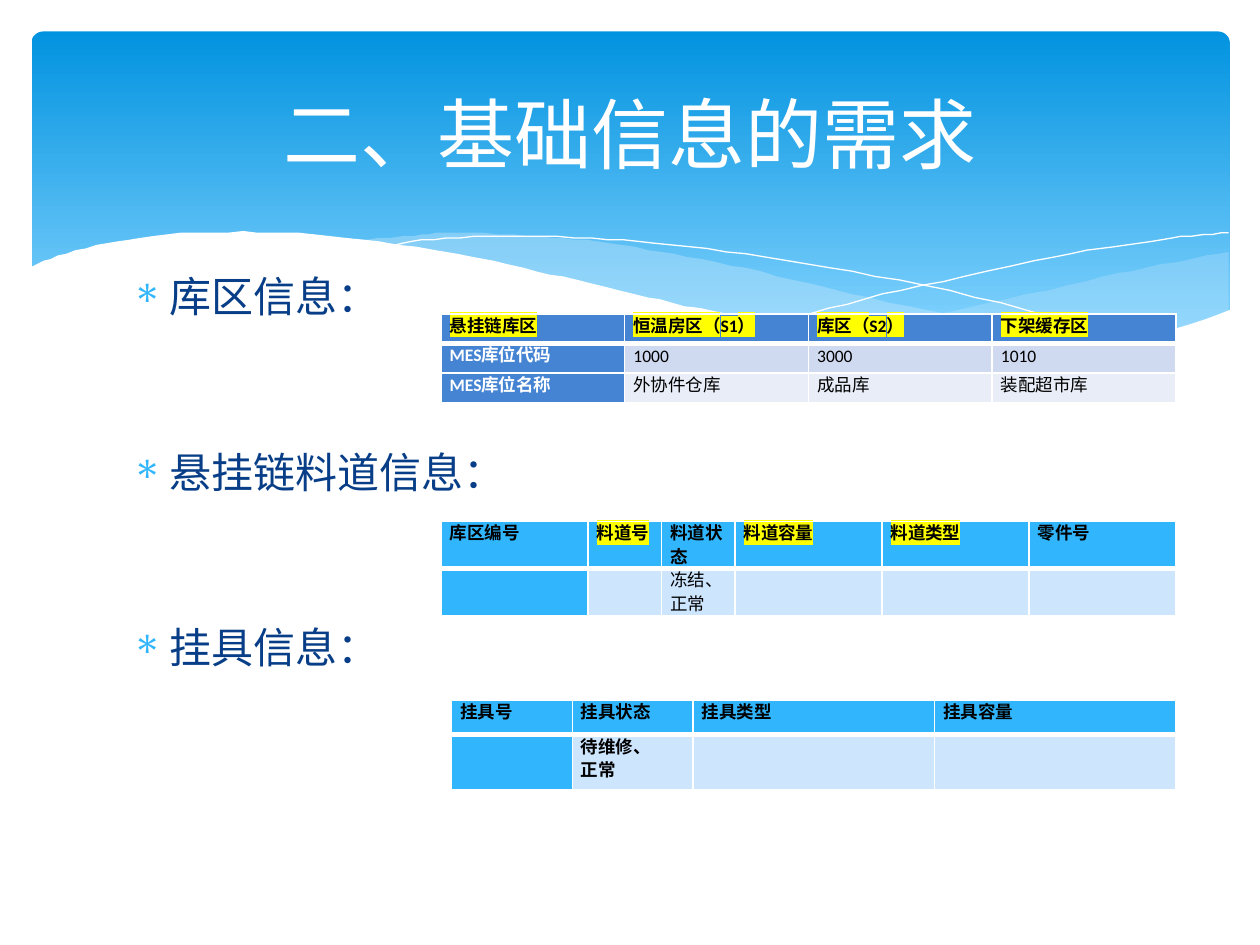
"""Builds the slide on basic information requirements with its three tables."""
from lxml import etree
from pptx import Presentation
from pptx import util as u
from pptx.dml.color import RGBColor
from pptx.enum import shapes, text
from pptx.oxml.ns import qn

COLORS = {
    "white": "FFFFFF", "black": "000000", "navy": "073E87", "yellow": "FFFF00",
    "sky": "0293E0", "pale_sky": "83D3FE", "mist": "C6E7FC",
    "cyan": "31B6FD", "cyan_band": "CEE5FE",
    "blue": "4584D3", "blue_band": "CFD9EF", "blue_light": "E9EDF7",
}

RIGHT_TOP = [(702, 144), (663, 151.2), (620, 160.6), (561, 174.2), (476, 190.8)]
RIGHT_BASE = [(476, 190.8), (517.7, 195.8), (553.7, 199.4), (586, 200.2),
              (621.4, 198), (657.4, 192.2), (683.3, 185), (702, 177.8)]
MIDDLE_TOP = [(643, 196.6), (602.6, 190.8), (558, 182.9), (508.3, 172.8), (453, 159.8),
              (409.7, 149.8), (370, 142.6), (334.8, 137.5), (302.4, 134.6), (260, 133.2),
              (236.2, 134.6), (206, 137.5)]
MIDDLE_BASE = [(206, 137.5), (246.2, 143.3), (291, 151.9), (323.3, 159.8), (381.6, 172.8),
               (432.7, 183.6), (478.8, 191.5), (519.8, 197.3), (556.6, 199.4),
               (596.2, 200.2), (624.2, 198.7), (643, 196.6)]
LONG_LINE = [(222.5, 140.4), (247.7, 136.8), (288.7, 134.6), (337.7, 136), (383.8, 139.7),
             (437.8, 146.9), (500.4, 157.7), (572.4, 173.5), (653, 195.8)]
SHORT_LINE = [(441.4, 185), (483.8, 173.5), (538.6, 160.6), (602, 146.9), (644.4, 139.7),
              (675.4, 135.4), (702, 133.2)]
PAGE_TOP = [(16.6, 153.4), (33, 146.2), (61.2, 139), (95, 133.9), (139, 132.5), (180, 133.9),
            (227.5, 139.7), (281.5, 149), (321.8, 158.4), (362.2, 167.8), (399.6, 176.4),
            (450.7, 185.8), (495.4, 193), (535.7, 197.3), (582.5, 199.4), (621.4, 197.3),
            (662.4, 190.8), (703.4, 177.1)]
PAGE_BASE = [(703.4, 236.9), (16.6, 236.9)]


def rgb(name):
    return RGBColor.from_string(COLORS[name])


def add_color(parent, name):
    return etree.SubElement(parent, qn("a:srgbClr"), val=COLORS[name])


def smooth(knots, steps=5):
    """Return points of a Catmull-Rom curve through the knots."""
    padded = [knots[0], *knots, knots[-1]]
    points = [knots[0]]
    for a, b, c, d in zip(padded, padded[1:], padded[2:], padded[3:]):
        for step in range(1, steps + 1):
            t = step / steps
            points.append(tuple(
                (2 * q + (r - p) * t + (2 * p - 5 * q + 4 * r - s) * t ** 2
                 + (3 * q - p - 3 * r + s) * t ** 3) / 2
                for p, q, r, s in zip(a, b, c, d)))
    return points


def write(paragraph, words, size=10, color="black", font="Calibri", bold=False, highlight=None):
    """Add a formatted run to the paragraph."""
    run = paragraph.add_run()
    run.text = words
    run.font.size = u.Pt(size)
    run.font.bold = bold
    run.font.color.rgb = rgb(color)
    run.font.name = font
    if highlight:
        marker = etree.Element(qn("a:highlight"))
        add_color(marker, highlight)
        run.font._element.find(qn("a:solidFill")).addnext(marker)


class Deck:
    """Holds the style and the current slide."""

    def __init__(self):
        self.show = Presentation()
        self.show.slide_width, self.show.slide_height = u.Pt(720), u.Pt(540)
        self.slide = self.show.slides.add_slide(self.show.slide_layouts[6])
        self.leading = u.Pt(13.4)

    def banner(self, left, top, width, height):
        panel = self.slide.shapes.add_shape(
            shapes.MSO_SHAPE.ROUNDED_RECTANGLE, *map(u.Pt, (left, top, width, height)))
        panel.adjustments[0] = 0.034
        panel.shadow.inherit = False
        panel.line.fill.background()
        panel.fill.gradient()
        panel.fill.gradient_angle = 270
        for stop, name, position in zip(panel.fill.gradient_stops, ("sky", "pale_sky"), (0, 0.9)):
            stop.color.rgb = rgb(name)
            stop.position = position

    def wave(self, points, fill=None, opacity=100):
        builder = self.slide.shapes.build_freeform(*points[0], scale=u.Pt(1))
        builder.add_line_segments(points[1:], close=bool(fill))
        curve = builder.convert_to_shape()
        curve.shadow.inherit = False
        if not fill:
            curve.fill.background()
            curve.line.color.rgb = rgb("white")
            curve.line.width = u.Pt(0)
            return
        curve.line.fill.background()
        curve.fill.solid()
        curve.fill.fore_color.rgb = rgb(fill)
        if opacity < 100:
            tint = curve._element.spPr.find(qn("a:solidFill"))[0]
            etree.SubElement(tint, qn("a:alpha"), val=str(opacity * 1000))

    def frame(self, left, top, width, height):
        frame = self.slide.shapes.add_textbox(*map(u.Pt, (left, top, width, height))).text_frame
        frame.word_wrap = True
        return frame

    def title(self, words):
        frame = self.frame(36, 26.6, 648, 98.6)
        frame.vertical_anchor = text.MSO_ANCHOR.MIDDLE
        frame.paragraphs[0].alignment = text.PP_ALIGN.CENTER
        write(frame.paragraphs[0], words, size=44, color="white")

    def bullets(self, headings, gap):
        frame = self.frame(68.4, 151.2, 583.2, 345.6)
        for index, heading in enumerate(headings):
            paragraph = frame.add_paragraph() if index else frame.paragraphs[0]
            props = paragraph._p.get_or_add_pPr()
            props.set("marL", str(u.Pt(21.6)))
            props.set("indent", str(-u.Pt(21.6)))
            add_color(etree.SubElement(props, qn("a:buClr")), "cyan")
            etree.SubElement(props, qn("a:buFont"), typeface="Symbol")
            etree.SubElement(props, qn("a:buChar"), char="∗")
            if index:
                paragraph.space_before = u.Pt(gap)
            write(paragraph, heading, size=24, color="navy")

    def border(self, cell, bottom):
        props = cell._tc.get_or_add_tcPr()
        for index, side in enumerate("LRTB"):
            width = bottom if side == "B" else 1
            edge = etree.Element(qn(f"a:ln{side}"), w=str(u.Pt(width)))
            add_color(etree.SubElement(edge, qn("a:solidFill")), "white")
            props.insert(index, edge)

    def table(self, left, top, widths, heights, rows, accent, bands,
              marked=(), serif=(), bold=()):
        grid = self.slide.shapes.add_table(
            len(rows), len(widths), *map(u.Pt, (left, top, sum(widths), sum(heights)))).table
        grid.horz_banding = False
        for column, width in zip(grid.columns, widths):
            column.width = u.Pt(width)
        for r, (row, height) in enumerate(zip(rows, heights)):
            grid.rows[r].height = u.Pt(height)
            for c, words in enumerate(row):
                cell = grid.cell(r, c)
                cell.margin_left = cell.margin_right = u.Pt(5)
                cell.margin_top = cell.margin_bottom = 0
                cell.fill.solid()
                cell.fill.fore_color.rgb = rgb(accent if r * c == 0 else bands[r - 1])
                self.border(cell, bottom=1 if r else 3)
                for index, line in enumerate(words.split("\n")):
                    frame = cell.text_frame
                    paragraph = frame.add_paragraph() if index else frame.paragraphs[0]
                    paragraph.line_spacing = self.leading
                    if line:
                        write(paragraph, line, bold=r * c == 0 or words in bold,
                              color="white" if r and c == 0 else "black",
                              font="Times New Roman" if words in serif else "Calibri",
                              highlight="yellow" if words in marked else None)


def main():
    deck = Deck()
    deck.banner(18, 18, 684.7, 194.4)
    deck.wave(smooth(RIGHT_TOP) + smooth(RIGHT_BASE), "mist", 29)
    deck.wave(smooth(MIDDLE_TOP) + smooth(MIDDLE_BASE), "mist", 40)
    deck.wave(smooth(LONG_LINE))
    deck.wave(smooth(SHORT_LINE))
    deck.wave(smooth(PAGE_TOP) + PAGE_BASE, "white")
    deck.bullets(["库区信息：", "悬挂链料道信息：", "挂具信息："], gap=71.5)
    deck.title("二、基础信息的需求")

    areas = ["悬挂链库区", "恒温房区（S1）", "库区（S2）", "下架缓存区"]
    deck.table(252, 179.3, [105] * 4, [17] * 3,
               [areas, ["MES库位代码", "1000", "3000", "1010"],
                ["MES库位名称", "外协件仓库", "成品库", "装配超市库"]],
               "blue", ["blue_band", "blue_light"], marked=areas)
    deck.table(252, 298, [84, 42, 42, 84, 84, 84], [26] * 2,
               [["库区编号", "料道号", "料道状态", "料道容量", "料道类型", "零件号"],
                ["", "", "冻结、正常", "", "", ""]],
               "cyan", ["cyan_band"], marked=["料道号", "料道容量", "料道类型"],
               serif=["料道状态", "冻结、正常"])
    repair = "待维修、\n正常"
    deck.table(258, 400.3, [69, 69, 138, 138], [19.5, 31.5],
               [["挂具号", "挂具状态", "挂具类型", "挂具容量"], ["", repair, "", ""]],
               "cyan", ["cyan_band"], serif=["挂具状态", repair], bold=[repair])
    deck.show.save("out.pptx")


if __name__ == "__main__":
    main()
